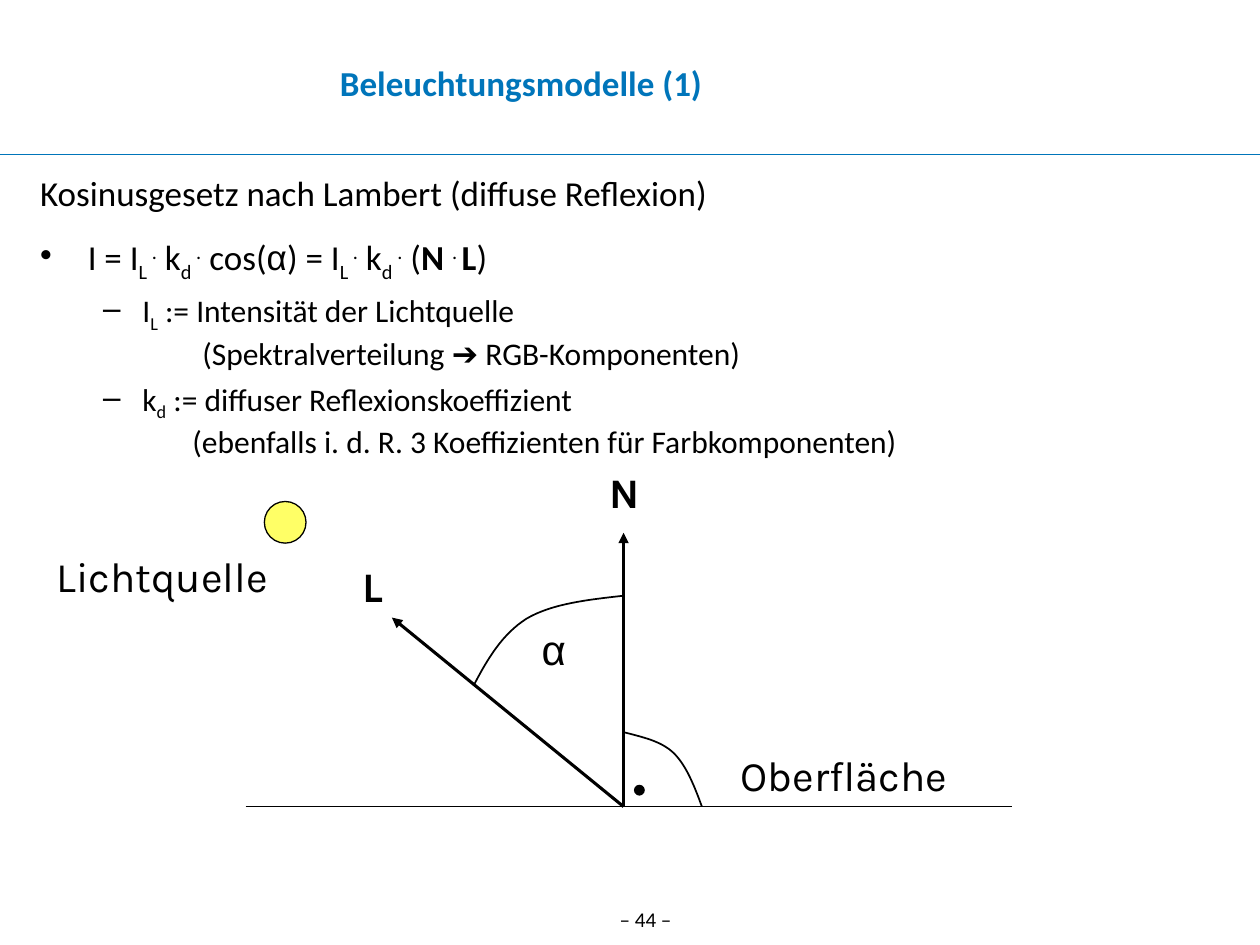
import pptx
import pptx.dml.color
import pptx.enum.shapes
import pptx.enum.text
import pptx.oxml
import pptx.oxml.ns
import pptx.util

Cm, Pt = pptx.util.Cm, pptx.util.Pt
SHAPES = pptx.enum.shapes.MSO_SHAPE
ANCHOR = pptx.enum.text.MSO_ANCHOR
ALIGN = pptx.enum.text.PP_ALIGN
COLORS = {"blue": "0075BA", "black": "000000", "lamp": "FFFF66"}

# Content: runs are (text, style)
SUB, SUP, BOLD, SYMBOL = "sub", "sup", "bold", "symbol"
BASELINES = {SUB: "-25000", SUP: "30000"}
DOT = (".", SUP)
LIGHT_TERM = [("L ", SUB), DOT, (" k", ""), ("d ", SUB), DOT]

# Paragraphs: bullet, left margin (cm), hanging (cm), size, space before, runs
BODY = [
    ("", 0, 0, 20, 0, [("Kosinusgesetz nach Lambert (diffuse Reflexion)", "")]),
    ("•", 0.96, 0.96, 20, 12.5,
     [("I = I", ""), *LIGHT_TERM, (" cos(", ""), ("α", SYMBOL), (") = I", ""),
      *LIGHT_TERM, (" (", ""), ("N ", BOLD), (". ", SUP), ("L", BOLD), (")", "")]),
    ("–", 2.06, 0.79, 18, 4.5,
     [("I", ""), ("L", SUB), (" := Intensität der Lichtquelle", "")]),
    ("", 3.27, 0, 18, 0,
     [("(Spektralverteilung ", ""), ("➔", SYMBOL), (" RGB-Komponenten)", "")]),
    ("–", 2.06, 0.79, 18, 4.5,
     [("k", ""), ("d", SUB), (" := diffuser Reflexionskoeffizient", "")]),
    ("", 3.07, 0, 18, 0,
     [("(ebenfalls i. d. R. 3 Koeffizienten für Farbkomponenten)", "")]),
]

# Diagram labels: text, left, top, width (cm), font, bold
LABELS = [
    ("L", 7.06, 11.18, 1.27, "Karla", True),
    ("N", 12.04, 9.27, 1.07, "Karla", True),
    ("α", 10.67, 12.45, 2.34, "Arial", False),
    ("Lichtquelle", 0.89, 10.97, 4.88, "Karla", False),
    ("Oberfläche", 14.68, 14.99, 6.32, "Karla", False),
]

# Diagram geometry (cm)
FOOT = (12.57, 16.26)
NORMAL_TIP = (FOOT[0], 10.74)
LIGHT_TIP = (7.9, 12.45)
SURFACE = ((4.95, FOOT[1]), (20.4, FOOT[1]))
ANGLE_ARCS = [
    [(9.55, 13.82), (9.83, 13.28), (10.13, 12.78), (10.62, 12.47),
     (11.13, 12.17), (11.86, 12.09), (12.57, 12.01)],
    [(12.57, 14.76), (12.95, 14.86), (13.34, 14.94), (13.59, 15.19),
     (13.84, 15.44), (14.0, 15.85), (14.15, 16.26)],
]
# left, top, width, height, fill, outline width
CIRCLES = [
    (5.33, 10.11, 0.84, 0.84, "lamp", 0.75),
    (12.78, 15.82, 0.22, 0.22, "black", 0),
]

prs = pptx.Presentation()
prs.slide_width, prs.slide_height = Cm(25.4), Cm(19.05)
slide = prs.slides.add_slide(prs.slide_layouts[6])


def rgb(name):
    return pptx.dml.color.RGBColor.from_string(COLORS[name])


def add_run(paragraph, text, size, font="Calibri", bold=False, color="black"):
    run = paragraph.add_run()
    run.text = text
    run.font.size, run.font.name, run.font.bold = Pt(size), font, bold
    run.font.color.rgb = rgb(color)
    return run


def add_frame(left, top, width, height, inset=True):
    frame = slide.shapes.add_textbox(Cm(left), Cm(top), Cm(width), Cm(height)).text_frame
    frame.word_wrap = True
    if not inset:
        frame.margin_left = frame.margin_right = frame.margin_top = frame.margin_bottom = 0
    return frame


def add_line(start, end, width, color="black", arrow=False):
    line = slide.shapes.add_connector(
        pptx.enum.shapes.MSO_CONNECTOR.STRAIGHT, *map(Cm, start + end))
    line.line.color.rgb, line.line.width = rgb(color), Pt(width)
    if arrow:
        tail = pptx.oxml.ns.qn("a:tailEnd")
        line.line._get_or_add_ln().makeelement(tail)
        pptx_ln = line.line._get_or_add_ln()
        pptx_ln.append(pptx_ln.makeelement(tail, {"type": "triangle"}))
    properties = line._element.spPr
    properties.append(properties.makeelement(pptx.oxml.ns.qn("a:effectLst")))


def bezier(p0, p1, p2, p3, steps=16):
    for i in range(1, steps + 1):
        t = i / steps
        u = 1 - t
        yield tuple(Cm(u**3 * a + 3 * u * u * t * b + 3 * u * t * t * c + t**3 * d)
                    for a, b, c, d in zip(p0, p1, p2, p3))


# Header, title and page number
add_line((0, 3.12), (25.4, 3.12), 0.75, "blue")
title = add_frame(0.51, 0.58, 19.99, 2.16, inset=False)
title.vertical_anchor = ANCHOR.MIDDLE
title.paragraphs[0].alignment = ALIGN.CENTER
add_run(title.paragraphs[0], "Beleuchtungsmodelle (1)", 20, bold=True, color="blue")
page_number = add_frame(11.91, 18.16, 2.21, 0.8).paragraphs[0]
page_number.alignment = ALIGN.CENTER
add_run(page_number, "– 44 –", 12)

# Body text
body = add_frame(0.56, 3.33, 24.84, 6.2)
for i, (bullet, margin, hanging, size, before, runs) in enumerate(BODY):
    paragraph = body.add_paragraph() if i else body.paragraphs[0]
    properties = paragraph._p.get_or_add_pPr()
    properties.set("marL", str(Cm(margin)))
    properties.set("indent", str(-Cm(hanging)))
    if bullet:
        properties.append(properties.makeelement(
            pptx.oxml.ns.qn("a:buChar"), {"char": bullet}))
    paragraph.space_before = Pt(before)
    for text, style in runs:
        run = add_run(paragraph, text, size, "Arial" if style == SYMBOL else "Calibri",
                      style == BOLD)
        if style in BASELINES:
            run._r.get_or_add_rPr().set("baseline", BASELINES[style])

# Surface and vectors
add_line(*SURFACE, 1)
for tip in (NORMAL_TIP, LIGHT_TIP):
    add_line(FOOT, tip, 1.75, arrow=True)

# Angle arcs
for points in ANGLE_ARCS:
    outline = slide.shapes.build_freeform(*map(Cm, points[0]))
    curve = [*bezier(*points[:4]), *bezier(*points[3:])]
    outline.add_line_segments(curve, close=False)
    arc = outline.convert_to_shape()
    arc.shadow.inherit = False
    arc.fill.background()
    arc.line.color.rgb, arc.line.width = rgb("black"), Pt(1)

# Light source and right-angle dot
for left, top, width, height, fill, outline_width in CIRCLES:
    circle = slide.shapes.add_shape(SHAPES.OVAL, Cm(left), Cm(top), Cm(width), Cm(height))
    circle.shadow.inherit = False
    circle.fill.solid()
    circle.fill.fore_color.rgb = rgb(fill)
    if outline_width:
        circle.line.color.rgb, circle.line.width = rgb("black"), Pt(outline_width)
    else:
        circle.line.fill.background()

# Diagram labels
for text, left, top, width, font, bold in LABELS:
    add_run(add_frame(left, top, width, 1.27).paragraphs[0], text, 24, font, bold)

prs.save("out.pptx")
